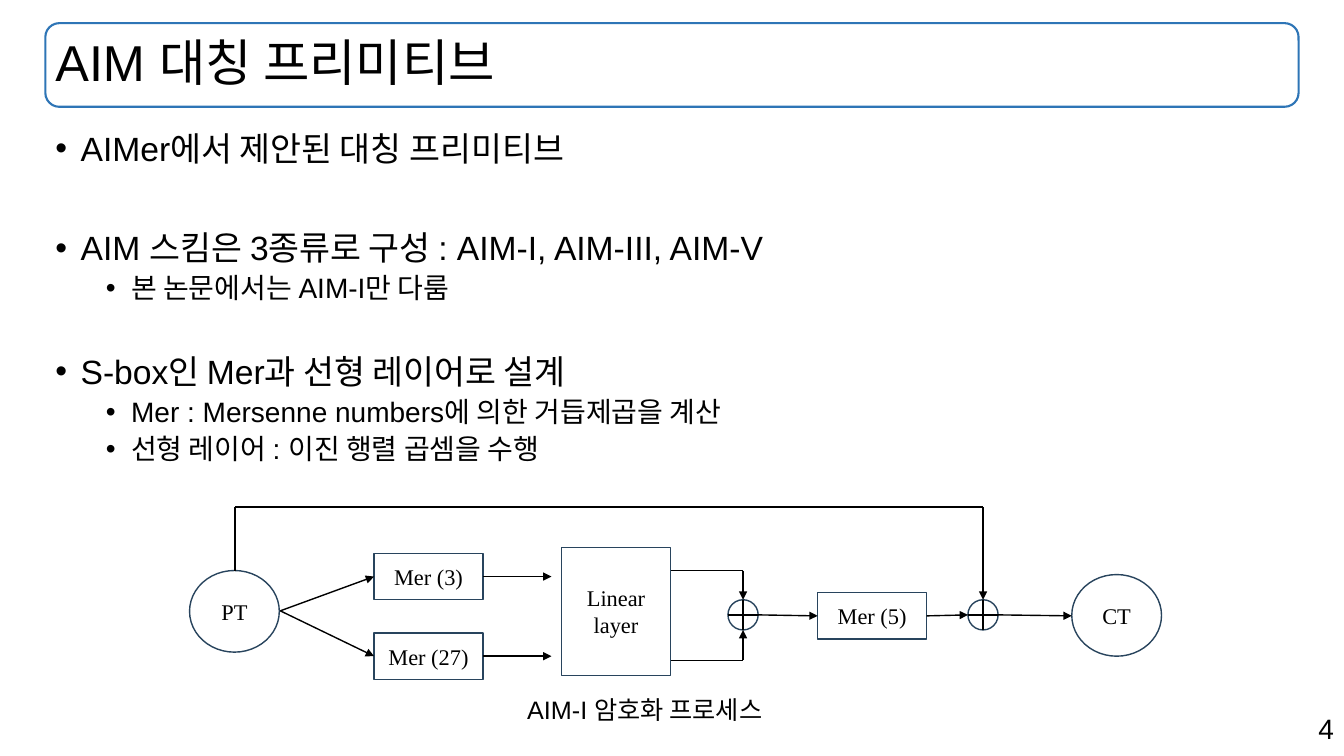
from lxml import etree
from pptx import Presentation
from pptx.dml.color import RGBColor
from pptx.enum.shapes import MSO_CONNECTOR, MSO_SHAPE
from pptx.enum.text import MSO_ANCHOR, MSO_AUTO_SIZE, PP_ALIGN
from pptx.oxml.ns import qn
from pptx.util import Pt

PX = 9144  # one hundredth of an inch
LINE = MSO_CONNECTOR.STRAIGHT
RECT, OVAL, ROUND = MSO_SHAPE.RECTANGLE, MSO_SHAPE.OVAL, MSO_SHAPE.ROUNDED_RECTANGLE
LEFT, RIGHT, CENTER = PP_ALIGN.LEFT, PP_ALIGN.RIGHT, PP_ALIGN.CENTER
TOP, MIDDLE = MSO_ANCHOR.TOP, MSO_ANCHOR.MIDDLE
COLORS = {"text": "000000", "frame": "2E75B6", "edge": "28445D", "wire": "000000"}
SANS, SERIF = "Arial", "Times New Roman"

TITLE = "AIM 대칭 프리미티브"
HEAD = (45, 23, 1243, 83)
BODY = (45, 126, 1243, 613)
# level, space before in points, text
BULLETS = [
    (0, 10, "AIMer에서 제안된 대칭 프리미티브"),
    (0, 45, "AIM 스킴은 3종류로 구성 : AIM-I, AIM-III, AIM-V"),
    (1, 5, "본 논문에서는 AIM-I만 다룸"),
    (0, 36, "S-box인 Mer과 선형 레이어로 설계"),
    (1, 5, "Mer : Mersenne numbers에 의한 거듭제곱을 계산"),
    (1, 5, "선형 레이어 : 이진 행렬 곱셈을 수행"),
]
LEVELS = [(24, 25), (20, 75)]  # text size, left indent
HANG = 25

# name: shape, box, lines of text
NODES = {
    "ct": (OVAL, (1063, 570, 89, 81), ["CT"]),
    "pt": (OVAL, (188, 566, 89, 81), ["PT"]),
    "mer3": (RECT, (371, 549, 108, 46), ["Mer (3)"]),
    "mer27": (RECT, (371, 628, 108, 46), ["Mer (27)"]),
    "linear": (RECT, (557, 543, 108, 127), ["Linear", "layer"]),
    "mer5": (RECT, (811, 588, 108, 46), ["Mer (5)"]),
}
XOR_Y, RADIUS = 610, 15
XOR_A, XOR_B = 737, 975
LOOP_Y, LOOP_X = 503, 233
UP, DOWN = XOR_Y - RADIUS, XOR_Y + RADIUS
# from, to, arrow; an end is a point or (node, side)
WIRES = [
    ((278, 606), ("mer3", 1), True),
    ((278, 606), ("mer27", 1), True),
    (("mer3", 3), (547, 572), True),
    (("mer27", 3), (547, 651), True),
    ((XOR_A, 566), (XOR_A, UP), True),
    ((XOR_A, 655), (XOR_A, DOWN), True),
    ((XOR_A, 566), (666, 566), False),
    ((XOR_A, 655), (666, 655), False),
    ((XOR_A + RADIUS, XOR_Y), ("mer5", 1), True),
    (("mer5", 3), (XOR_B - RADIUS, XOR_Y), True),
    ((XOR_B + RADIUS, XOR_Y), (1063, 611), True),
    ((XOR_B, LOOP_Y), (XOR_B, UP), True),
    ((XOR_B, LOOP_Y), (LOOP_X, LOOP_Y), False),
    ((LOOP_X, LOOP_Y), (LOOP_X, 566), False),
]
# text, box, size, alignment
LABELS = [
    ("4", (943, 701, 390, 44), 20, RIGHT),
    ("AIM-I 암호화 프로세스", (513, 684, 390, 40), 18, LEFT),
]


def emu(nums):
    return [n * PX for n in nums]


def color(name):
    return RGBColor.from_string(COLORS[name])


def write(par, text, size, font, align):
    par.alignment = align
    run = par.add_run()
    run.text = text
    run.font.size, run.font.name = Pt(size), font
    run.font.color.rgb = color("text")


def place(holder, box, anchor):
    holder.left, holder.top, holder.width, holder.height = emu(box)
    frame = holder.text_frame
    frame.auto_size, frame.word_wrap = MSO_AUTO_SIZE.NONE, True
    frame.vertical_anchor = anchor
    return frame


def outline(slide, kind, box, edge, width):
    shape = slide.shapes.add_shape(kind, *emu(box))
    shape.shadow.inherit = False
    shape.fill.background()
    shape.line.color.rgb, shape.line.width = color(edge), Pt(width)
    return shape


def add_list(frame):
    for i, (level, gap, text) in enumerate(BULLETS):
        par = frame.add_paragraph() if i else frame.paragraphs[0]
        size, indent = LEVELS[level]
        par.level, par.line_spacing, par.space_before = level, 0.9, Pt(gap)
        write(par, text, size, SANS, LEFT)
        props = par._p.get_or_add_pPr()
        props.set("marL", str(indent * PX))
        props.set("indent", str(-HANG * PX))
        etree.SubElement(props, qn("a:buFont")).set("typeface", SANS)
        etree.SubElement(props, qn("a:buChar")).set("char", "•")


def add_node(slide, kind, box, lines):
    shape = outline(slide, kind, box, "edge", 1)
    frame = shape.text_frame
    frame.vertical_anchor, frame.word_wrap = MIDDLE, True
    for i, text in enumerate(lines):
        par = frame.add_paragraph() if i else frame.paragraphs[0]
        write(par, text, 16, SERIF, CENTER)
    return shape


def spot(end):
    """Point of a wire end, at the middle of a side when a node is named."""
    if end[0] not in NODES:
        return end
    x, y, w, h = NODES[end[0]][1]
    return [(x + w // 2, y), (x, y + h // 2), (x + w // 2, y + h), (x + w, y + h // 2)][end[1]]


def add_wire(slide, nodes, start, stop, arrow):
    wire = slide.shapes.add_connector(LINE, *emu(spot(start)), *emu(spot(stop)))
    wire.line.color.rgb, wire.line.width = color("wire"), Pt(1)
    for end, join in ((start, wire.begin_connect), (stop, wire.end_connect)):
        if end[0] in nodes:
            join(nodes[end[0]], end[1])
    if arrow:
        tail = etree.SubElement(wire.line._get_or_add_ln(), qn("a:tailEnd"))
        tail.set("type", "triangle")
    etree.SubElement(wire._element.spPr, qn("a:effectLst"))


def add_xor(slide, x):
    size = 2 * RADIUS
    outline(slide, OVAL, (x - RADIUS, UP, size, size), "edge", 1)
    add_wire(slide, {}, (x, UP), (x, DOWN), False)
    add_wire(slide, {}, (x - RADIUS, XOR_Y), (x + RADIUS, XOR_Y), False)


def add_label(slide, text, box, size, align):
    frame = slide.shapes.add_textbox(*emu(box)).text_frame
    frame.word_wrap = True
    write(frame.paragraphs[0], text, size, SANS, align)


def main():
    deck = Presentation()
    deck.slide_width, deck.slide_height = emu((1333, 750))
    slide = deck.slides.add_slide(deck.slide_layouts[1])

    outline(slide, ROUND, HEAD, "frame", 1.5)
    head = place(slide.shapes.title, HEAD, MIDDLE).paragraphs[0]
    head.line_spacing = 0.9
    write(head, TITLE, 36, SANS, LEFT)
    add_list(place(slide.placeholders[1], BODY, TOP))

    nodes = {name: add_node(slide, *node) for name, node in NODES.items()}
    for x in (XOR_A, XOR_B):
        add_xor(slide, x)
    for wire in WIRES:
        add_wire(slide, nodes, *wire)
    for label in LABELS:
        add_label(slide, *label)
    deck.save("out.pptx")


if __name__ == "__main__":
    main()
